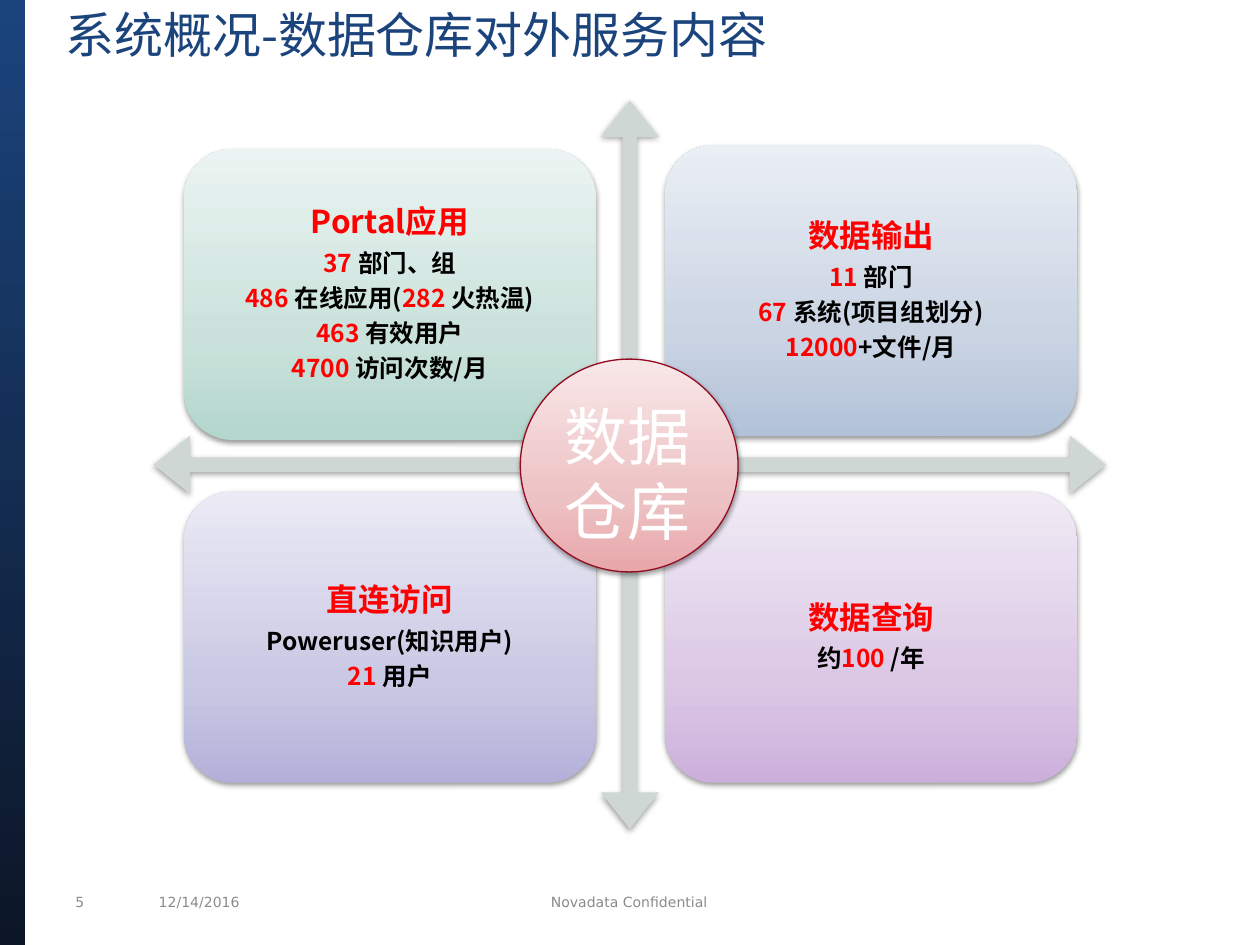
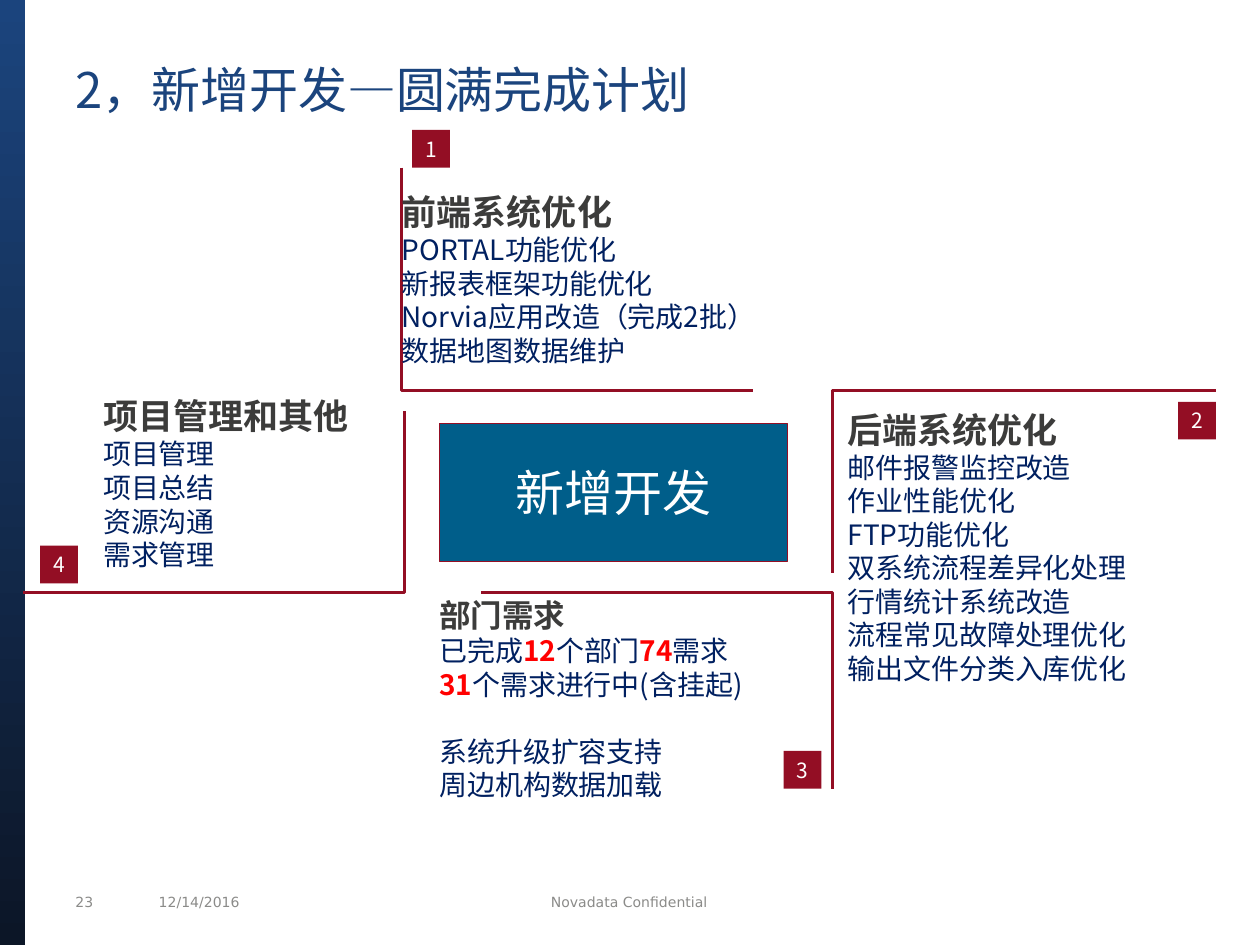
from lxml.etree import SubElement
from pptx import Presentation
from pptx.dml.color import RGBColor
from pptx.enum.shapes import MSO_SHAPE
from pptx.enum.text import MSO_ANCHOR, PP_ALIGN
from pptx.oxml.ns import qn
from pptx.util import Cm, Pt

CJK_FONT = "Noto Sans CJK SC"
FOOTER_FONT = "DejaVu Sans"
WHITE = RGBColor(0xFF, 0xFF, 0xFF)
BLACK = RGBColor(0x00, 0x00, 0x00)
RED = RGBColor(0xFF, 0x00, 0x00)
GRAY = RGBColor(0x8B, 0x8B, 0x89)
NIGHT = RGBColor(0x0C, 0x16, 0x27)
TITLE_BLUE = RGBColor(0x1B, 0x44, 0x7D)
BODY_NAVY = RGBColor(0x00, 0x20, 0x60)
HEADING = RGBColor(0x3C, 0x3C, 0x3B)
ARROW = RGBColor(0xCE, 0xD7, 0xD4)
CENTER_BLUE = RGBColor(0x00, 0x5E, 0x8A)
CRIMSON = RGBColor(0x93, 0x0E, 0x24)
DISC_LINE = RGBColor(0x93, 0x0A, 0x21)


def shades(*codes):
    """Return gradient stops, from bottom to top, for three hex colours."""
    return list(zip((0, 35, 100), map(RGBColor.from_string, codes)))


BAND = [(0, NIGHT), (100, TITLE_BLUE)]
GREEN = shades("B3D6CD", "CAE2DB", "EBF4F2")
BLUE = shades("B2C2D8", "CAD4E3", "EAEFF5")
VIOLET = shades("B3B1D9", "CAC9E4", "EBEAF5")
PURPLE = shades("CCB0DB", "DBC8E5", "F1EAF5")
ROSE = shades("E8A7AA", "EDC2C4", "F9E7E8")


def add_text(tf, text, size, color, bold=False, align=PP_ALIGN.LEFT,
             leading=None, before=0, after=0, font=CJK_FONT):
    """Add one paragraph; parts between asterisks become bold red."""
    p = tf.paragraphs[0]
    if p.runs:
        p = tf.add_paragraph()
    p.alignment = align
    p.space_before, p.space_after = Pt(before), Pt(after)
    if leading:
        p.line_spacing = Pt(leading)
    for i, part in enumerate(text.split("*")):
        if part:
            r = p.add_run()
            r.text = part
            r.font.name, r.font.size = font, Pt(size)
            r.font.bold = bold or i % 2 == 1
            r.font.color.rgb = RED if i % 2 else color
            SubElement(r._r.get_or_add_rPr(), qn("a:ea"), typeface=font)


def frame(sp, anchor=MSO_ANCHOR.MIDDLE, inset=(0, 0)):
    """Set wrapping, anchor and (horizontal, vertical) insets in cm."""
    tf = sp.text_frame
    tf.word_wrap = True
    tf.vertical_anchor = anchor
    tf.margin_left = tf.margin_right = Cm(inset[0])
    tf.margin_top = tf.margin_bottom = Cm(inset[1])
    return tf


def add_box(s, at, **kw):
    """Add a text box and return its text frame."""
    return frame(s.shapes.add_textbox(*map(Cm, at)), **kw)


def set_gradient(sp, stops):
    """Fill a shape with a gradient running from bottom to top."""
    sp.fill.gradient()
    sp.fill.gradient_angle = 90
    gs_list = sp._element.spPr.find(".//" + qn("a:gsLst"))
    for gs in list(gs_list):
        gs_list.remove(gs)
    for pos, color in stops:
        gs = SubElement(gs_list, qn("a:gs"), pos=str(pos * 1000))
        SubElement(gs, qn("a:srgbClr"), val=str(color))


def add_shadow(sp):
    """Give a shape a soft shadow falling straight down."""
    effects = sp._element.spPr.find(qn("a:effectLst"))
    shadow = SubElement(effects, qn("a:outerShdw"), blurRad=str(Pt(3.1)),
                        dist=str(Pt(1.6)), dir="5400000", rotWithShape="0")
    color = SubElement(shadow, qn("a:srgbClr"), val="000000")
    SubElement(color, qn("a:alpha"), val="38000")


def add_shape(s, kind, at, fill, line=None, width=0.75, shadow=False):
    """Add a preset shape with a solid or gradient fill."""
    sp = s.shapes.add_shape(kind, *map(Cm, at))
    sp.shadow.inherit = False
    if isinstance(fill, list):
        set_gradient(sp, fill)
    else:
        sp.fill.solid()
        sp.fill.fore_color.rgb = fill
    if line is None:
        sp.line.fill.background()
    else:
        sp.line.color.rgb = line
        sp.line.width = Pt(width)
    if shadow:
        add_shadow(sp)
    return sp


def add_slide(prs, number, title, title_at):
    """Add a slide with the side band, footer and title."""
    s = prs.slides.add_slide(prs.slide_layouts[6])
    add_shape(s, MSO_SHAPE.RECTANGLE, (0, 0, 0.51, 19.05), BAND)
    footers = ((number, 1.27, 1.27, PP_ALIGN.LEFT),
               ("12/14/2016", 2.95, 4.24, PP_ALIGN.LEFT),
               ("Novadata Confidential", 7.39, 10.59, PP_ALIGN.CENTER))
    for text, x, w, align in footers:
        tf = add_box(s, (x, 17.88, w, 0.61), inset=(0.25, 0.13))
        add_text(tf, text, 8, GRAY, align=align, font=FOOTER_FONT)
    tf = add_box(s, title_at, anchor=MSO_ANCHOR.TOP, inset=(0.25, 0))
    add_text(tf, title, 28, TITLE_BLUE, leading=36)
    return s


def add_card(s, x, y, fill, heading, lines):
    """Add a rounded service card with a heading and centred lines."""
    sp = add_shape(s, MSO_SHAPE.ROUNDED_RECTANGLE, (x, y, 8.3, 5.87), fill,
                   shadow=True)
    tf = frame(sp, inset=(0.18, 0.18))
    for text, size, color in [(heading, 18, RED)] + [(t, 14, BLACK) for t in lines]:
        add_text(tf, text, size, color, bold=True, align=PP_ALIGN.CENTER,
                 leading=size * 1.08, after=size * 0.35)


def add_topic(s, at, heading, lines, size=20, gap_at=None):
    """Add a heading with its list; a blank line's gap precedes line gap_at."""
    tf = add_box(s, at)
    add_text(tf, heading, size, HEADING, bold=True, leading=size * 1.2)
    for i, text in enumerate(lines):
        add_text(tf, text, 16, BODY_NAVY, leading=19.2,
                 before=19.2 if i == gap_at else 0)


def add_bracket(s, *points):
    """Draw an open angle through points given in cm."""
    start, *rest = [(Cm(x), Cm(y)) for x, y in points]
    builder = s.shapes.build_freeform(*start)
    builder.add_line_segments(rest, close=False)
    sp = builder.convert_to_shape()
    sp.shadow.inherit = False
    sp.fill.background()
    sp.line.color.rgb = CRIMSON
    sp.line.width = Pt(1.75)


def add_badge(s, number, x, y):
    """Add a small numbered square."""
    sp = add_shape(s, MSO_SHAPE.RECTANGLE, (x, y, 0.76, 0.76), CRIMSON)
    add_text(frame(sp), number, 12, WHITE, align=PP_ALIGN.CENTER)


def services_slide(prs):
    """Build the four services around the data warehouse."""
    s = add_slide(prs, "5", "系统概况-数据仓库对外服务内容", (1.07, 0, 16.84, 3.18))
    arrows = add_shape(s, MSO_SHAPE.QUAD_ARROW, (3.1, 2.03, 19.2, 14.68),
                       ARROW, shadow=True)
    for i, value in enumerate((0.02, 0.04, 0.05)):
        arrows.adjustments[i] = value
    left, right, bottom = 3.71, 13.41, 9.91
    add_card(s, left, 3, GREEN, "Portal应用",
             ["*37 *部门、组", "*486 *在线应用(*282 *火热温)",
              "*463 *有效用户", "*4700 *访问次数/月"])
    add_card(s, right, 2.92, BLUE, "数据输出",
             ["*11 *部门", "*67 *系统(项目组划分)", "*12000*+文件/月"])
    add_card(s, left, bottom, VIOLET, "直连访问",
             ["Poweruser(知识用户)", "*21 *用户"])
    add_card(s, right, bottom, PURPLE, "数据查询", ["约*100* /年"])
    disc = add_shape(s, MSO_SHAPE.FLOWCHART_CONNECTOR, (10.49, 7.24, 4.39, 4.29),
                     ROSE, line=DISC_LINE, shadow=True)
    tf = frame(disc, anchor=MSO_ANCHOR.TOP, inset=(0.25, 0.13))
    add_text(tf, "数据仓库", 36, WHITE, leading=43.4)


def development_slide(prs):
    """Build the four development topics around the centre block."""
    s = add_slide(prs, "23", "2，新增开发—圆满完成计划", (1.27, 1.12, 22.86, 1.42))
    upper, lower = 7.87, 11.94
    add_bracket(s, (8.1, 3.38), (8.1, upper), (15.19, upper))
    add_bracket(s, (24.51, upper), (16.79, upper), (16.79, 11.56))
    add_bracket(s, (16.79, 15.9), (16.79, lower), (9.7, lower))
    add_bracket(s, (0.46, lower), (8.15, lower), (8.15, 8.28))
    sp = add_shape(s, MSO_SHAPE.RECTANGLE, (8.86, 8.53, 7.01, 2.79),
                   CENTER_BLUE, line=CRIMSON, width=0.5)
    add_text(frame(sp), "新增开发", 28, WHITE, align=PP_ALIGN.CENTER)
    add_topic(s, (8.1, 3.38, 8.5, 4.49), "前端系统优化",
              ["PORTAL功能优化", "新报表框架功能优化",
               "Norvia应用改造（完成2批）", "数据地图数据维护"])
    add_topic(s, (17.09, 8.2, 6.4, 5.64), "后端系统优化",
              ["邮件报警监控改造", "作业性能优化", "FTP功能优化",
               "双系统流程差异化处理", "行情统计系统改造",
               "流程常见故障处理优化", "输出文件分类入库优化"])
    add_topic(s, (8.86, 11.99, 7.01, 4.19), "部门需求",
              ["已完成*12*个部门*74*需求", "*31*个需求进行中(含挂起)",
               "系统升级扩容支持", "周边机构数据加载"], size=18, gap_at=2)
    add_topic(s, (2.08, 7.95, 5.82, 3.58), "项目管理和其他",
              ["项目管理", "项目总结", "资源沟通", "需求管理"])
    corners = ((8.31, 2.62), (23.75, 8.1), (15.8, 15.14), (0.81, 11))
    for i, (x, y) in enumerate(corners, 1):
        add_badge(s, str(i), x, y)


def main():
    """Build and save the presentation."""
    prs = Presentation()
    prs.slide_width, prs.slide_height = Cm(25.4), Cm(19.05)
    services_slide(prs)
    development_slide(prs)
    prs.save("out.pptx")


if __name__ == "__main__":
    main()
